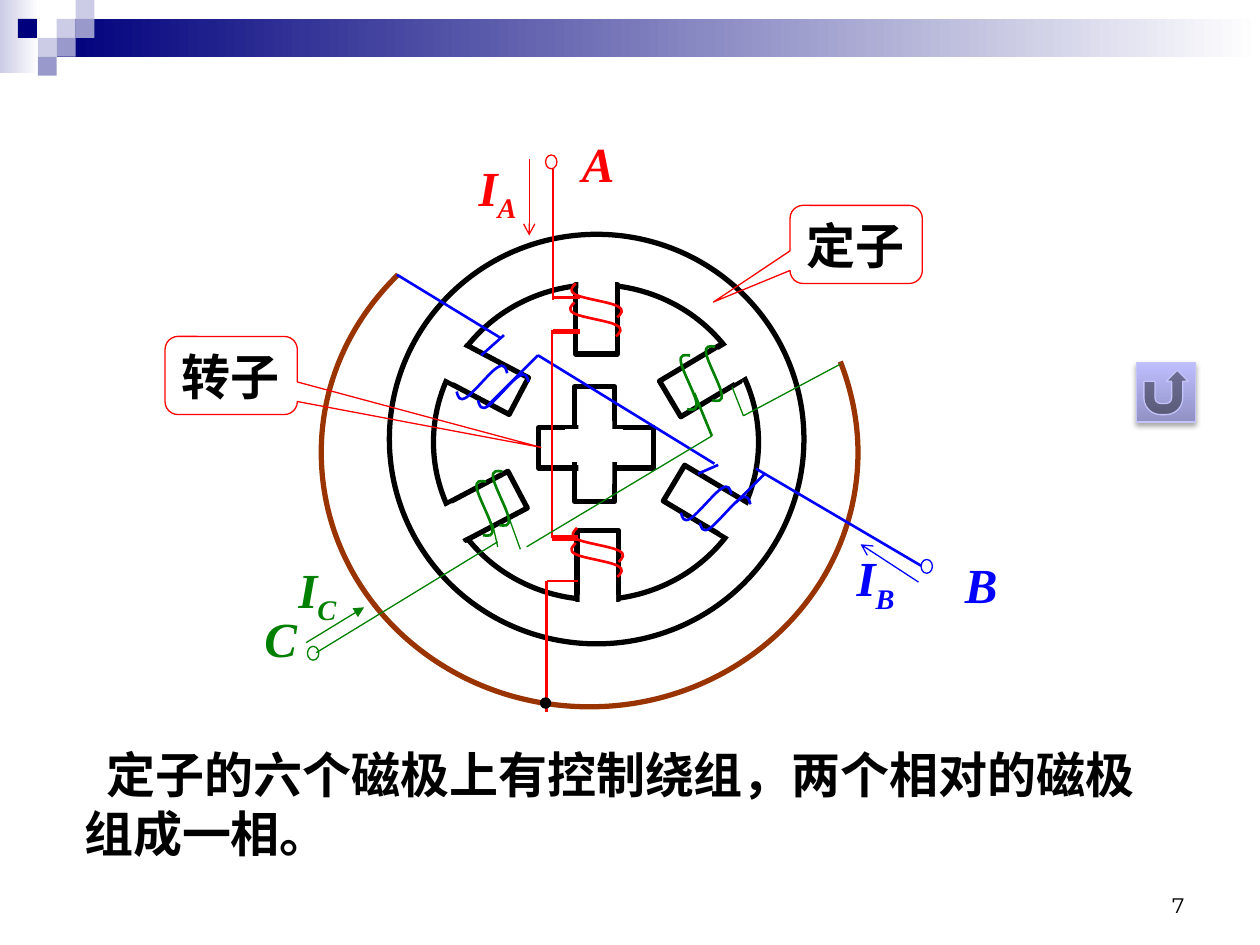
from pptx import Presentation, util as u
from pptx.dml.color import RGBColor
from pptx.enum import shapes as s, text as t
from pptx.oxml import ns, xmlchemy as xc

RED, BLUE, GREEN, BROWN = "FF0000", "0000FF", "008000", "993300"
BLACK, WHITE = "000000", "FFFFFF"
NAVY, LILAC, PALE = "00007D", "9999CC", "CCCCE6"
HAN, LATIN = "Noto Sans CJK SC", "Times New Roman"
rgb = RGBColor.from_string
Kind = s.MSO_SHAPE

deck = Presentation()
deck.slide_width, deck.slide_height = u.Inches(10), u.Inches(7.5)
slide = deck.slides.add_slide(deck.slide_layouts[6])


def add(kind, x, y, w, h, fill=None, line=None, weight=0.75, turn=0):
    """Add a preset shape; a list of two colours as fill makes a gradient."""
    shape = slide.shapes.add_shape(kind, *map(u.Inches, (x, y, w, h)))
    shape.shadow.inherit = False
    shape.rotation = turn
    if isinstance(fill, list):
        shape.fill.gradient()
        shape.fill.gradient_angle = 0
        for stop, color in zip(shape.fill.gradient_stops, fill):
            stop.color.rgb = rgb(color)
    elif fill:
        shape.fill.solid()
        shape.fill.fore_color.rgb = rgb(fill)
    else:
        shape.fill.background()
    if line:
        shape.line.color.rgb = rgb(line)
        shape.line.width = u.Pt(weight)
    else:
        shape.line.fill.background()
    return shape


def write(shape, words, font, color, size=28, bold=True, italic=False, sub=""):
    """Fill a shape with one paragraph, ending in an optional subscript."""
    paragraph = shape.text_frame.paragraphs[0]
    paragraph.text = words
    paragraph.alignment = t.PP_ALIGN.LEFT
    if sub:
        paragraph.add_run().text = sub
        paragraph.runs[1]._r.get_or_add_rPr().set("baseline", "-25000")
    for run in paragraph.runs:
        run.font.name, run.font.size = font, u.Pt(size)
        run.font.bold, run.font.italic = bold, italic
        run.font.color.rgb = rgb(color)
        east_asian = xc.OxmlElement("a:ea")
        east_asian.set("typeface", font)
        run.font._element.find(ns.qn("a:latin")).addnext(east_asian)
    return paragraph


# Header band with its mosaic of squares
add(Kind.RECTANGLE, 0, 0, 0.31, 0.58, [PALE, WHITE])
add(Kind.RECTANGLE, 0.45, 0.15, 9.55, 0.3, [NAVY, WHITE])
for column, row, color in [(3, 1, PALE), (4, 0, PALE), (4, 1, LILAC), (2, 2, PALE),
                           (0.95, 1, NAVY), (3, 2, LILAC), (2, 3, LILAC)]:
    add(Kind.RECTANGLE, column * 0.15, row * 0.15, 0.15, 0.15, color)

# Stator rings, and six poles whose outer ends are opened by white mouths
add(Kind.OVAL, 3.44, 2.26, 2.58, 2.5, None, BLACK, 3)
add(Kind.OVAL, 3.09, 1.86, 3.29, 3.25, None, BLACK, 3)
for x, y, mouth_x, mouth_y, turn in [
        (4.57, 2.26, 4.59, 2.07, 0), (4.58, 4.21, 4.6, 4.72, 0),
        (5.39, 2.75, 5.71, 2.74, 239.2), (3.71, 2.74, 3.42, 2.74, 297.8),
        (5.42, 3.7, 5.74, 4.04, 120.8), (3.7, 3.74, 3.41, 4.06, 62.2)]:
    add(Kind.RECTANGLE, x, y, 0.33, 0.55, None, BLACK, 3, turn)
    add(Kind.RECTANGLE, mouth_x, mouth_y, 0.29, 0.23, WHITE, turn=turn)

# Cross-shaped rotor
add(Kind.RECTANGLE, 4.56, 3.07, 0.32, 0.91, None, BLACK, 3)
add(Kind.RECTANGLE, 4.57, 3.1, 0.32, 0.91, None, BLACK, 3, 270)
add(Kind.RECTANGLE, 4.59, 3.34, 0.27, 0.5, WHITE)
add(Kind.RECTANGLE, 4.49, 3.41, 0.45, 0.25, WHITE, WHITE)

# Coil turns and the common return arc, all cubic curves
coil = [(0.06, 0), (0.03, 0.03), (0, 0.06), (0.06, 0.09), (0.12, 0.12), (0.34, 0.15),
        (0.39, 0.18), (0.45, 0.21), (0.42, 0.24), (0.39, 0.27)]
return_arc = [(3.16, 2.18), (2.77, 2.56), (2.55, 3.06), (2.55, 3.59), (2.55, 4.71),
              (3.5, 5.61), (4.68, 5.61), (5.85, 5.61), (6.81, 4.71), (6.81, 3.59),
              (6.81, 3.35), (6.76, 3.1), (6.67, 2.87)]
windings = [
    (RED, 0, [(4.51, 2.25), (4.5, 2.4), (4.52, 4.19), (4.51, 4.31)]),
    (GREEN, 53.7, [(5.44, 2.83), (5.24, 2.9), (3.75, 3.82), (3.62, 3.9)]),
    (BLUE, 300.7, [(3.6, 2.9), (5.38, 3.86), (5.53, 3.94), (3.77, 2.97)])]
curves = [(coil, x, y, turn, color, 1.5)
          for color, turn, places in windings for x, y in places]
curves.append((return_arc, 0, 0, 0, BROWN, 3))
for controls, x, y, turn, color, weight in curves:
    points = [(u.Inches(x + dx), u.Inches(y + dy)) for dx, dy in controls]
    builder = slide.shapes.build_freeform(*points[0])
    builder.add_line_segments(points[1:], close=False)
    curve = builder.convert_to_shape()
    segments = list(curve._element.iter(ns.qn("a:lnTo")))
    for i in range(0, len(segments), 3):
        bezier = xc.OxmlElement("a:cubicBezTo")
        segments[i].addprevious(bezier)
        for segment in segments[i:i + 3]:
            bezier.append(segment[0])
            segment.getparent().remove(segment)
    curve.rotation = turn
    curve.shadow.inherit = False
    curve.fill.background()
    curve.line.color.rgb = rgb(color)
    curve.line.width = u.Pt(weight)

# Wires, then the current arrows
wires = [
    (BLUE, 1.5, [(5.54, 3.76, 5.7, 3.69), (3.86, 3.23, 4.27, 2.82),
                 (4.27, 2.82, 5.67, 3.68), (5.84, 3.99, 6.07, 3.76),
                 (6, 3.72, 7.31, 4.49), (3.15, 2.18, 3.97, 2.68),
                 (4, 2.66, 3.82, 2.82)], None),
    (RED, 1.5, [(4.34, 4.61, 4.59, 4.61), (4.34, 4.61, 4.34, 5.65),
                (4.38, 2.62, 4.38, 4.27), (4.4, 2.36, 4.6, 2.36),
                (4.39, 1.34, 4.39, 2.38)], None),
    (RED, 3, [(4.38, 4.27, 4.59, 4.27), (4.39, 2.63, 4.6, 2.63)], None),
    (GREEN, 0.75, [(4.04, 4.11, 4.13, 4.36), (4.18, 4.34, 5.65, 3.46),
                   (5.81, 3.07, 5.9, 3.3), (5.9, 3.3, 6.67, 2.89),
                   (3.95, 4.3, 2.51, 5.18), (3.91, 4.16, 3.95, 4.34)], None),
    (GREEN, 1.5, [(5.51, 3.12, 5.65, 3.46)], None),
    (RED, 0.75, [(4.2, 1.26, 4.2, 1.87)], ("a:tailEnd", "arrow")),
    (GREEN, 0.75, [(2.43, 5.1, 2.89, 4.82)], ("a:tailEnd", "triangle")),
    (BLUE, 0.75, [(6.83, 4.32, 7.29, 4.62)], ("a:headEnd", "arrow"))]
for color, weight, ends, arrow in wires:
    for end in ends:
        wire = slide.shapes.add_connector(s.MSO_CONNECTOR.STRAIGHT, *map(u.Inches, end))
        wire.line.color.rgb = rgb(color)
        wire.line.width = u.Pt(weight)
        if arrow:
            arrowhead = xc.OxmlElement(arrow[0])
            arrowhead.set("type", arrow[1])
            wire.line._get_or_add_ln().append(arrowhead)
        wire._element.spPr.append(xc.OxmlElement("a:effectLst"))

# Junction and terminals
add(Kind.OVAL, 4.29, 5.54, 0.08, 0.08, BLACK, BLACK)
for x, y, color in [(2.44, 5.13, GREEN), (7.31, 4.44, BLUE), (4.33, 1.23, RED)]:
    add(Kind.OVAL, x, y, 0.09, 0.11, None, color)

# Phase and current labels
for x, y, letter, sub, color in [
        (4.52, 1.01, "A", "", RED), (7.56, 4.35, "B", "", BLUE),
        (2, 4.78, "C", "", GREEN), (3.7, 1.2, "I", "A", RED),
        (6.7, 4.3, "I", "B", BLUE), (2.27, 4.39, "I", "C", GREEN)]:
    label = slide.shapes.add_textbox(*map(u.Inches, (x, y, 0.7, 0.57)))
    label.text_frame.word_wrap = True
    write(label, letter, LATIN, color, italic=True, sub=sub)

# Part names
for x, y, part, tip in [(6.27, 1.63, "定子", (-1.079, 0.737)),
                        (1.31, 2.67, "转子", (2.341, 0.92))]:
    callout = add(Kind.ROUNDED_RECTANGULAR_CALLOUT, x, y, 1.05, 0.62, None, RED)
    callout.adjustments[0], callout.adjustments[1] = tip
    callout.text_frame.word_wrap = False
    callout.text_frame.vertical_anchor = t.MSO_ANCHOR.MIDDLE
    write(callout, part, HAN, BLACK)

# Explanation and page number
explanation = slide.shapes.add_textbox(*map(u.Inches, (0.57, 5.86, 8.86, 1.03)))
explanation.text_frame.word_wrap = True
sentence = write(explanation, "定子的六个磁极上有控制绕组，两个相对的磁极组成一相。", HAN, BLACK)
sentence._p.get_or_add_pPr().set("indent", str(u.Inches(0.18)))

page = slide.shapes.add_textbox(*map(u.Inches, (7.17, 6.83, 2.33, 0.5)))
page.text_frame.word_wrap = True
page.text_frame.vertical_anchor = t.MSO_ANCHOR.BOTTOM
write(page, "7", "Montserrat", BLACK, 12, bold=False).alignment = t.PP_ALIGN.RIGHT

# Return button with a soft shadow below
button = add(Kind.ACTION_BUTTON_RETURN, 9.02, 2.88, 0.47, 0.47, ["9191C4", "BEBEFF"], "C4C4FB")
button.fill.gradient_angle = 90
shadow = xc.OxmlElement("a:outerShdw")
for key, value in [("blurRad", u.Pt(3.1)), ("dist", u.Pt(1.8)), ("dir", 90 * 60000)]:
    shadow.set(key, str(int(value)))
shade = xc.OxmlElement("a:srgbClr")
shade.set("val", BLACK)
alpha = xc.OxmlElement("a:alpha")
alpha.set("val", "35000")
shade.append(alpha)
shadow.append(shade)
button._element.spPr.find(ns.qn("a:effectLst")).append(shadow)

deck.save("out.pptx")
